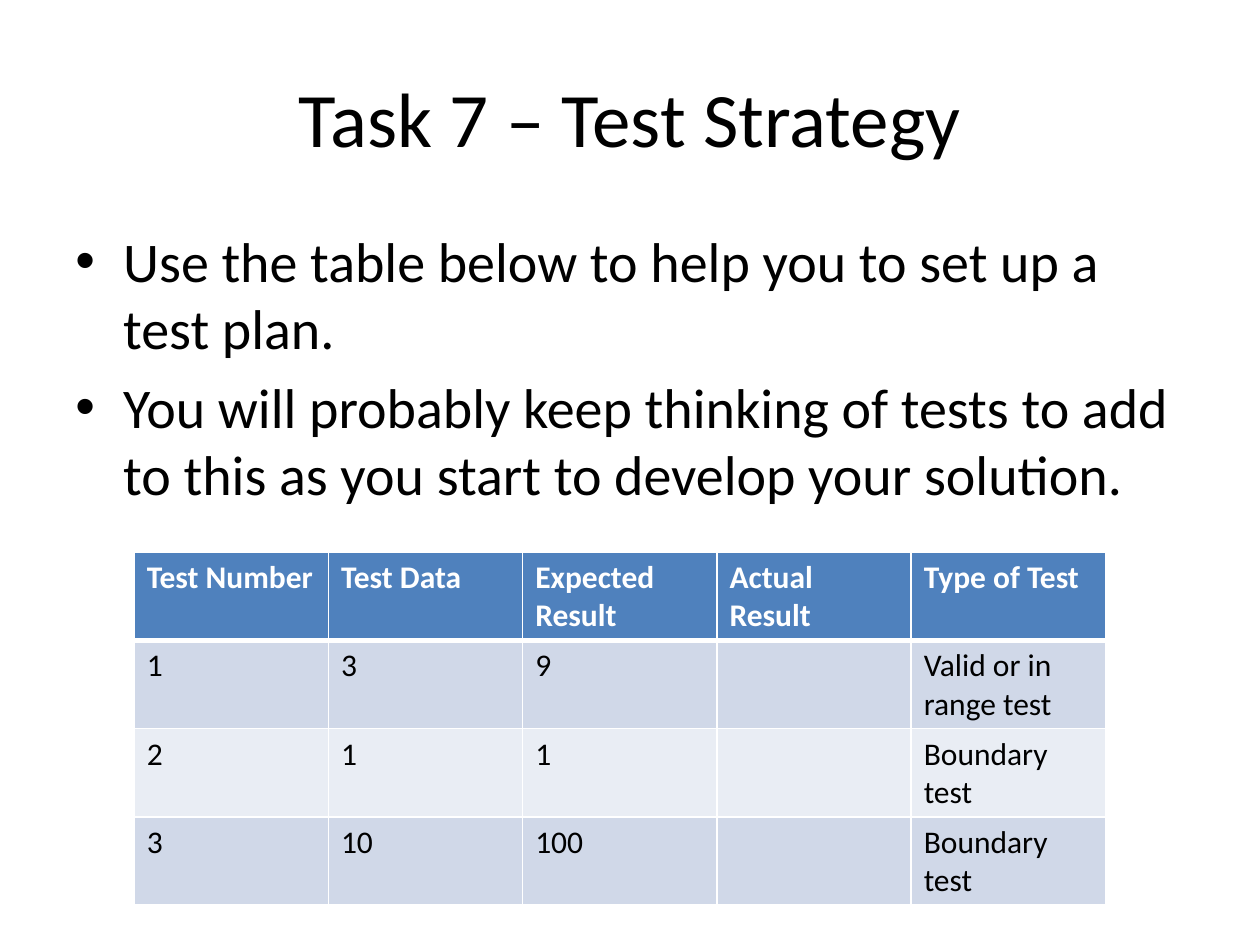
from dataclasses import dataclass

from lxml.etree import SubElement
from pptx import Presentation
from pptx.dml.color import RGBColor
from pptx.enum.text import MSO_ANCHOR, PP_ALIGN
from pptx.oxml.ns import qn
from pptx.util import Inches, Pt


@dataclass(frozen=True)
class Theme:
    font: str = "Calibri"
    ink: str = "000000"
    paper: str = "FFFFFF"
    header: str = "4F81BD"
    bands: tuple = ("D0D8E8", "E9EDF4")
    title_size: int = 44
    body_size: int = 32
    table_size: int = 18
    thin: int = 1
    thick: int = 3


class SlideBuilder:
    columns = 20
    rows = 30

    def __init__(self, deck, theme):
        self.deck = deck
        self.theme = theme
        self.page = deck.slides.add_slide(deck.slide_layouts[5])

    def area(self, column, row, width, height):
        cell_width = self.deck.slide_width / self.columns
        cell_height = self.deck.slide_height / self.rows
        return (
            round(column * cell_width),
            round(row * cell_height),
            round(width * cell_width),
            round(height * cell_height),
        )

    def style(self, para, size, color, bold=False):
        for span in para.runs:
            span.font.name = self.theme.font
            span.font.size = Pt(size)
            span.font.bold = bold
            span.font.color.rgb = RGBColor.from_string(color)

    def title(self, text, *place):
        box = self.page.shapes.title
        box.left, box.top, box.width, box.height = self.area(*place)
        frame = box.text_frame
        frame.text = text
        frame.vertical_anchor = MSO_ANCHOR.MIDDLE
        para = frame.paragraphs[0]
        para.alignment = PP_ALIGN.CENTER
        self.style(para, self.theme.title_size, self.theme.ink)

    def bullets(self, lines, *place):
        frame = self.page.shapes.add_textbox(*self.area(*place)).text_frame
        frame.word_wrap = True
        frame.text = "\n".join(lines)
        for para in frame.paragraphs:
            para.space_before = Pt(0.2 * self.theme.body_size)
            self.style(para, self.theme.body_size, self.theme.ink)
            properties = para._p.get_or_add_pPr()
            properties.set("marL", str(Inches(0.38)))
            properties.set("indent", str(Inches(-0.38)))
            SubElement(properties, qn("a:buFont"), typeface="Arial")
            SubElement(properties, qn("a:buChar"), char="•")

    def borders(self, cell, top, bottom):
        properties = cell._tc.get_or_add_tcPr()
        thin = self.theme.thin
        widths = {"lnL": thin, "lnR": thin, "lnT": top, "lnB": bottom}
        for side, width in widths.items():
            line = SubElement(properties, qn(f"a:{side}"), w=str(Pt(width)))
            fill = SubElement(line, qn("a:solidFill"))
            SubElement(fill, qn("a:srgbClr"), val=self.theme.paper)

    def table(self, records, *place):
        theme = self.theme
        table = self.page.shapes.add_table(
            len(records), len(records[0]), *self.area(*place)
        ).table
        for index, record in enumerate(records):
            heading = index == 0
            background = theme.header if heading else theme.bands[(index - 1) % 2]
            color = theme.paper if heading else theme.ink
            top = theme.thick if index == 1 else theme.thin
            bottom = theme.thick if heading else theme.thin
            for cell, text in zip(table.rows[index].cells, record):
                cell.text = text
                self.style(cell.text_frame.paragraphs[0], theme.table_size, color, heading)
                self.borders(cell, top, bottom)
                cell.fill.solid()
                cell.fill.fore_color.rgb = RGBColor.from_string(background)


deck = Presentation()
deck.slide_width, deck.slide_height = Inches(10), Inches(7.5)

slide = SlideBuilder(deck, Theme())
slide.title("Task 7 – Test Strategy", 1, 1.2, 18, 5)
slide.bullets(
    [
        "Use the table below to help you to set up a test plan.",
        "You will probably keep thinking of tests to add to this as you start to develop your solution.",
    ],
    1, 7, 18, 19.8,
)
slide.table(
    [
        ["Test Number", "Test Data", "Expected Result", "Actual Result", "Type of Test"],
        ["1", "3", "9", "", "Valid or in range test"],
        ["2", "1", "1", "", "Boundary test"],
        ["3", "10", "100", "", "Boundary test"],
    ],
    2.13, 17.53, 15.42, 11.2,
)
deck.save("out.pptx")
